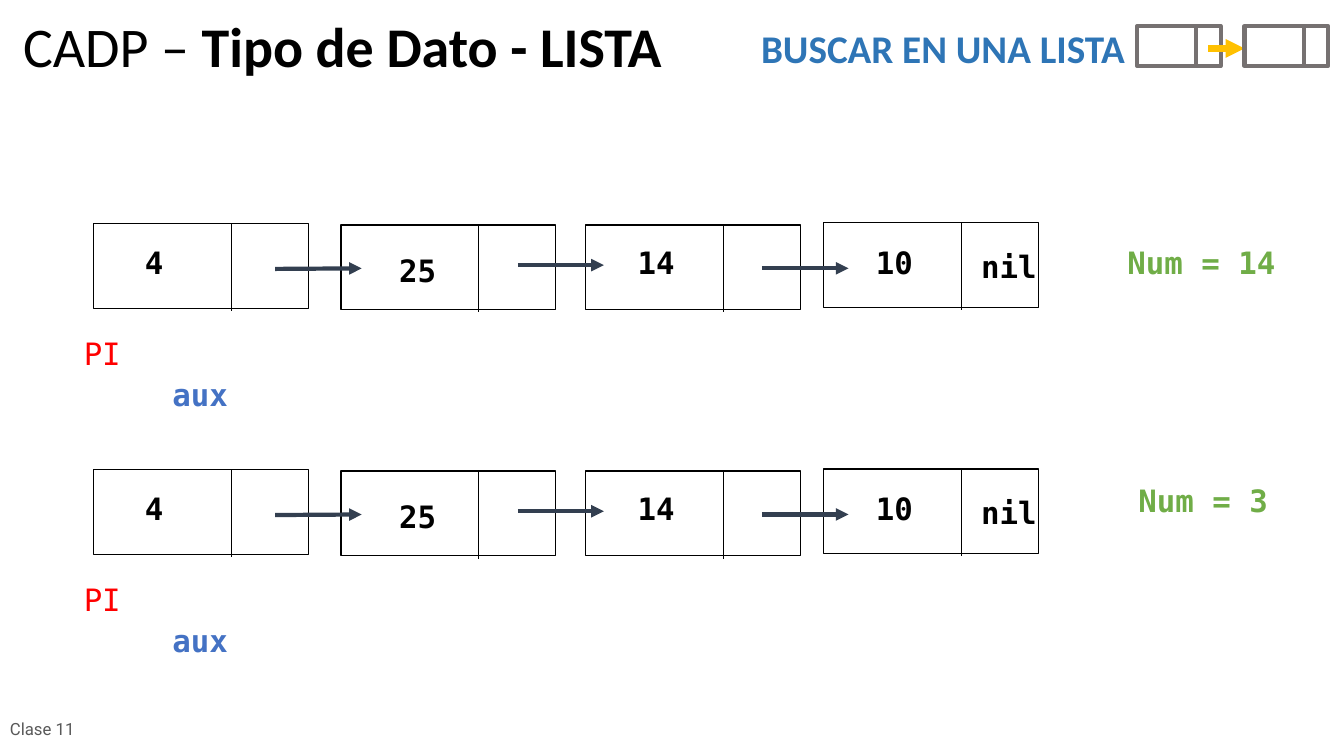
"""Build the slide on searching for a number in a linked list."""
import pptx
import pptx.util
import pptx.dml.color
import pptx.enum.shapes
import pptx.enum.text
import pptx.oxml
import pptx.oxml.ns

Pt = pptx.util.Pt
Anchor = pptx.enum.text.MSO_ANCHOR
Align = pptx.enum.text.PP_ALIGN
COLORS = {"black": "000000", "gray": "595959", "frame": "767171", "gold": "FFC000",
          "title": "2E75B6", "aux": "4472C4", "first": "FF0000", "number": "70AD47",
          "arrow": "333F50"}
MONO = "DejaVu Sans Mono"


class Painter:
    """Hold the style and the current slide, and draw each kind of element."""

    def __init__(self, page):
        self.page = page
        self.target = page.shapes

    def open_group(self):
        self.target = self.page.shapes.add_group_shape().shapes

    def close_group(self):
        self.target = self.page.shapes

    def color(self, name):
        return pptx.dml.color.RGBColor.from_string(COLORS[name])

    def outline(self, line, color, weight):
        line.color.rgb = self.color(color)
        line.width = Pt(weight)

    def text(self, left, top, width, height, spans, color="black", size=22, font=MONO,
             wrap=True, anchor=Anchor.TOP, align=Align.LEFT, spacing=1.0):
        box = self.target.add_textbox(Pt(left), Pt(top), Pt(width), Pt(height))
        frame = box.text_frame
        frame_format = {"word_wrap": wrap, "vertical_anchor": anchor,
                        "margin_left": Pt(7.2), "margin_right": Pt(7.2),
                        "margin_top": Pt(3.6), "margin_bottom": Pt(3.6)}
        for name, value in frame_format.items():
            setattr(frame, name, value)
        para = frame.paragraphs[0]
        para.alignment = align
        para.line_spacing = spacing
        for words, bold in spans:
            span = para.add_run()
            span.text = words
            font_format = {"name": font, "size": Pt(size), "bold": bold}
            for name, value in font_format.items():
                setattr(span.font, name, value)
            span.font.color.rgb = self.color(color)

    def rectangle(self, left, top, width, height, color, weight):
        shape = self.target.add_shape(pptx.enum.shapes.MSO_SHAPE.RECTANGLE,
                                      Pt(left), Pt(top), Pt(width), Pt(height))
        shape.shadow.inherit = False
        shape.fill.background()
        self.outline(shape.line, color, weight)

    def line(self, start, end, color, weight, arrow=False):
        connector = self.target.add_connector(pptx.enum.shapes.MSO_CONNECTOR.STRAIGHT,
                                              Pt(start[0]), Pt(start[1]), Pt(end[0]), Pt(end[1]))
        self.outline(connector.line, color, weight)
        if arrow:
            head = pptx.oxml.parse_xml(
                f'<a:tailEnd {pptx.oxml.ns.nsdecls("a")} type="triangle"/>')
            connector.line._get_or_add_ln().append(head)
        effects = pptx.oxml.parse_xml(f'<a:effectLst {pptx.oxml.ns.nsdecls("a")}/>')
        connector._element.spPr.append(effects)

    def icon_node(self, left):
        top, height, divider = 18.7, 28.4, left + 42.4
        self.rectangle(left, top, 59.8, height, "frame", 3)
        self.line((divider, top), (divider, top + height), "frame", 3)

    def list_node(self, left, top, value, value_left, value_top):
        divider = left + 98.2
        self.open_group()
        self.rectangle(left, top, 153.4, 60.5, "black", 1)
        self.line((divider, top), (divider, top + 62.6), "black", 0.5)
        width = 16 + 13.5 * len(value)
        self.text(value_left, value_top, width, 33.8, [(value, True)])
        self.close_group()


NODES = [(67, 159.8, "4", 96.5, 170.6), (243.6, 160.6, "25", 278.2, 176.4),
         (418.5, 160.6, "14", 448.6, 170.6), (588.7, 159.1, "10", 618.8, 170.6)]
LINKS = [((196.6, 192.1), (258.5, 191.7)), ((370.2, 189.4), (431.5, 189.4)),
         ((544.5, 191.7), (606.4, 191.7))]
SEARCHES = [(0, "Num = 14", 796, 170.6), (175.8, "Num = 3", 797.2, 340.9)]

deck = pptx.Presentation()
deck.slide_width, deck.slide_height = Pt(960.48), Pt(540)
painter = Painter(deck.slides.add_slide(deck.slide_layouts[6]))

painter.text(9.4, 10.1, 668.2, 54.7, [("CADP – ", False), ("Tipo de Dato - LISTA", True)],
             size=40, font="Calibri", spacing=0.9)
painter.text(0, 505.4, 77, 31, [("Clase 11", False)], "gray", 12, "Roboto",
             anchor=Anchor.MIDDLE)
painter.open_group()
painter.icon_node(812.6)
painter.line((863.6, 34.6), (889.4, 34.6), "gold", 4.5, arrow=True)
painter.icon_node(889.4)
painter.close_group()
painter.text(536.8, 13.7, 351.4, 41, [("BUSCAR EN UNA LISTA", True)], "title", 28, "Calibri")

for shift, number, number_left, number_top in SEARCHES:
    for left, top, value, value_left, value_top in NODES:
        painter.list_node(left, top + shift, value, value_left, value_top + shift)
    painter.text(694.1, 173.5 + shift, 56.5, 33.8, [("nil", True)])
    for start, end in LINKS:
        painter.line((start[0], start[1] + shift), (end[0], end[1] + shift), "arrow", 3,
                     arrow=True)
    painter.text(52.8, 235.6 + shift, 67.7, 33.8, [("PI", False)], "first")
    painter.text(116.2, 264.6 + shift, 67.7, 33.8, [("aux", True)], "aux")
    painter.text(number_left, number_top, 125.3, 33.8, [(number, True)], "number",
                 align=Align.CENTER)

deck.save("out.pptx")
